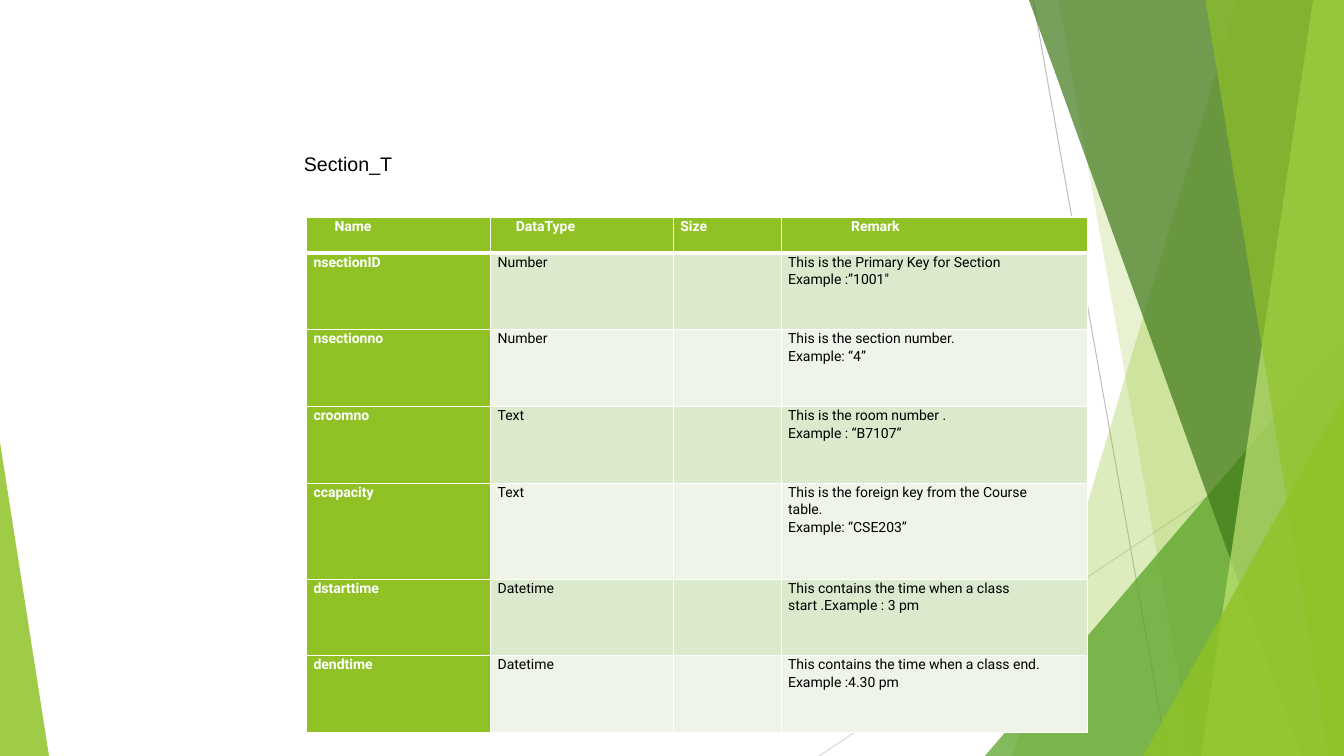
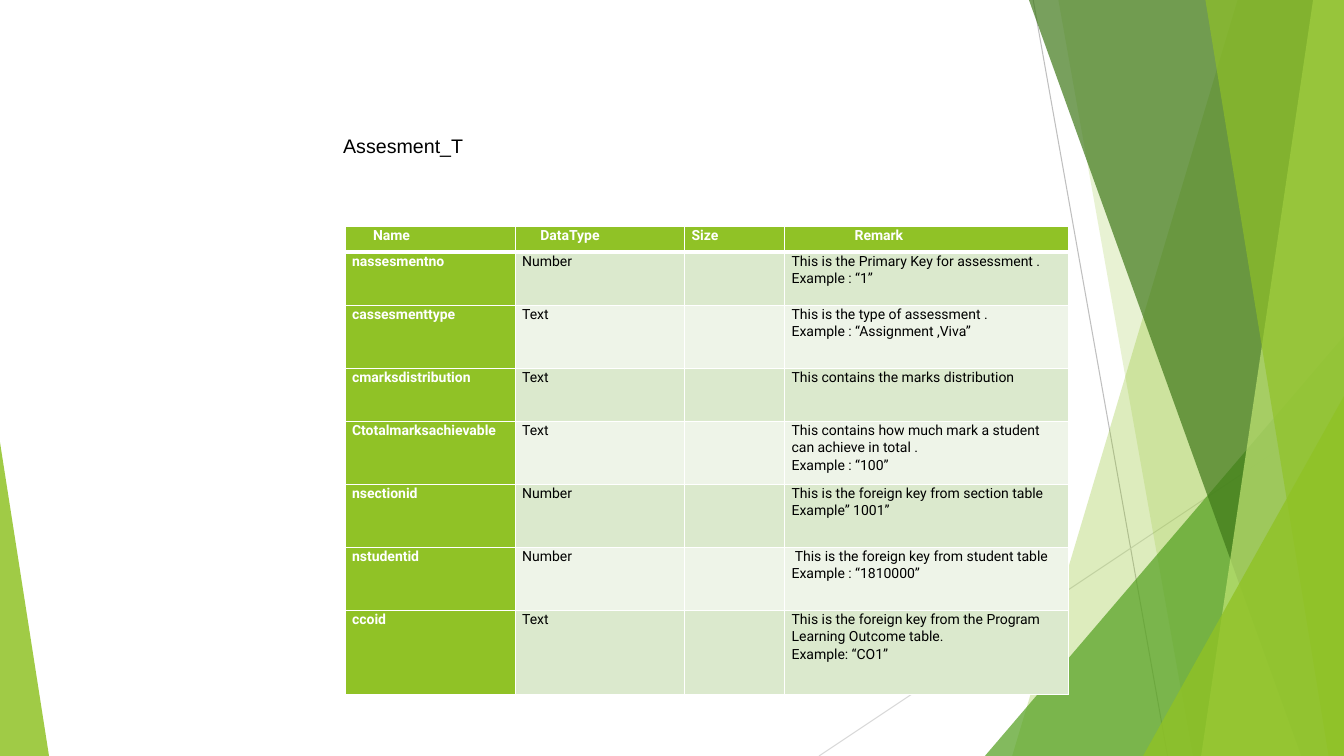
from lxml.etree import SubElement
from pptx import Presentation
from pptx.dml.color import RGBColor
from pptx.enum.shapes import MSO_CONNECTOR, MSO_SHAPE
from pptx.enum.text import MSO_ANCHOR, MSO_AUTO_SIZE
from pptx.oxml.ns import qn
from pptx.util import Pt

WIDTH, HEIGHT = 960, 540
GREEN, LEAF, FOREST, LIME = "90C226", "54A021", "3F7819", "C0E474"
WHITE, BLACK = "FFFFFF", "000000"
ROW_FILLS = ("DBE9CD", "EEF4E8")

# Column heading and its distance from the left edge of the cell
HEADINGS = (("Name", 20), ("DataType", 18), ("Size", 5), ("Remark", 50))


def color(value):
    return RGBColor.from_string(value)


class FacetDeck:
    """Holds the deck, its style and the current page."""

    def __init__(self):
        self.deck = Presentation()
        self.deck.slide_width = Pt(WIDTH)
        self.deck.slide_height = Pt(HEIGHT)
        self.page = None

    def add_page(self):
        self.page = self.deck.slides.add_slide(self.deck.slide_layouts[6])
        self.add_facets()

    def paint(self, shape, fill, opacity):
        """Give a shape a see-through fill, with no outline or shadow."""
        shape.shadow.inherit = False
        shape.line.fill.background()
        shape.fill.solid()
        shape.fill.fore_color.rgb = color(fill)
        value = shape.fill._xPr.find(qn("a:solidFill"))[0]
        SubElement(value, qn("a:alpha"), val=str(opacity * 1000))

    def add_line(self, start, end, stroke):
        line = self.page.shapes.add_connector(
            MSO_CONNECTOR.STRAIGHT, *(Pt(value) for value in start + end))
        line.line.color.rgb = color(stroke)
        line.line.width = Pt(0.75)
        SubElement(line._element.spPr, qn("a:effectLst"))

    def add_band(self, top_left, bottom_left, fill, opacity):
        """Fill from a slanted left edge to the right edge of the page."""
        builder = self.page.shapes.build_freeform(Pt(top_left), 0)
        corners = ((WIDTH, 0), (WIDTH, HEIGHT), (bottom_left, HEIGHT))
        builder.add_line_segments([(Pt(x), Pt(y)) for x, y in corners])
        self.paint(builder.convert_to_shape(), fill, opacity)

    def add_corner(self, left, top, width, apex, fill, opacity):
        """Stand a triangle on the bottom edge of the page."""
        corner = self.page.shapes.add_shape(
            MSO_SHAPE.ISOSCELES_TRIANGLE,
            Pt(left), Pt(top), Pt(width), Pt(HEIGHT - top))
        corner.adjustments[0] = apex
        self.paint(corner, fill, opacity)

    def add_facets(self):
        self.add_line((738, 0), (834, HEIGHT), "BFBFBF")
        self.add_line((WIDTH, 290), (585, HEIGHT), "D9D9D9")
        self.add_band(884, 723, GREEN, 30)
        self.add_band(756, 852, GREEN, 20)
        self.add_corner(703.5, 240, 256.5, 1, LEAF, 72)
        self.add_band(735, 929.5, FOREST, 70)
        self.add_band(938, 858, LIME, 70)
        self.add_band(861, 949, GREEN, 65)
        self.add_corner(816.5, 283, 143.5, 1, GREEN, 80)
        self.add_corner(0, 316, 35, 0, GREEN, 85)

    def add_span(self, para, text, font, size, ink, bold=False):
        span = para.add_run()
        span.text = text
        span.font.name = font
        span.font.size = Pt(size)
        span.font.bold = bold
        span.font.color.rgb = color(ink)

    def add_title(self, text, left, top, width):
        box = self.page.shapes.add_textbox(Pt(left), Pt(top), Pt(width), Pt(24))
        frame = box.text_frame
        frame.word_wrap = False
        frame.auto_size = MSO_AUTO_SIZE.SHAPE_TO_FIT_TEXT
        frame.vertical_anchor = MSO_ANCHOR.MIDDLE
        self.add_span(frame.paragraphs[0], text, "Arial", 14, BLACK)

    def add_borders(self, cell, top, bottom):
        properties = cell._tc.get_or_add_tcPr()
        for side, width in (("L", 1), ("R", 1), ("T", top), ("B", bottom)):
            border = SubElement(properties, qn(f"a:ln{side}"), w=str(Pt(width)))
            fill = SubElement(border, qn("a:solidFill"))
            SubElement(fill, qn("a:srgbClr"), val=WHITE)

    def fill_cell(self, cell, paragraphs, fill, strong, indent=5):
        cell.margin_left, cell.margin_right = Pt(indent), Pt(5)
        cell.margin_top = cell.margin_bottom = 0
        cell.fill.solid()
        cell.fill.fore_color.rgb = color(fill)
        frame = cell.text_frame
        for index, text in enumerate(paragraphs):
            para = frame.add_paragraph() if index else frame.paragraphs[0]
            para.line_spacing = 1.07
            for number, line in enumerate(text.split("\n")):
                if number:
                    para.add_line_break()
                self.add_span(para, line, "Roboto", 10,
                              WHITE if strong else BLACK, strong)

    def add_field_table(self, left, top, widths, heights, fields):
        """Add a table of (name, data type, remark paragraphs) fields."""
        table = self.page.shapes.add_table(
            len(heights), len(widths), Pt(left), Pt(top),
            Pt(sum(widths)), Pt(sum(heights))).table
        table.first_row = table.horz_banding = False
        for column, width in zip(table.columns, widths):
            column.width = Pt(width)
        for row, height in zip(table.rows, heights):
            row.height = Pt(height)
        for index, row in enumerate(table.rows):
            for cell in row.cells:
                self.add_borders(cell, 3 if index == 1 else 1,
                                 3 if index == 0 else 1)
        for cell, (heading, indent) in zip(table.rows[0].cells, HEADINGS):
            self.fill_cell(cell, [heading], GREEN, True, indent)
        for index, (name, data_type, remark) in enumerate(fields):
            contents = ([name], [data_type], [], remark)
            for column, paragraphs in enumerate(contents):
                strong = column == 0
                fill = GREEN if strong else ROW_FILLS[index % 2]
                self.fill_cell(table.cell(index + 1, column), paragraphs,
                               fill, strong)


SECTION_FIELDS = (
    ("nsectionID", "Number",
     ["This is the Primary Key for Section", "Example :”1001\""]),
    ("nsectionno", "Number",
     ["This is the section number.\nExample: “4”"]),
    ("croomno", "Text",
     ["This is the room number .", "Example : “B7107”"]),
    ("ccapacity", "Text",
     ["This is the foreign key from the Course\ntable.\nExample: “CSE203”"]),
    ("dstarttime", "Datetime",
     ["This contains the time when a class start .Example : 3 pm"]),
    ("dendtime", "Datetime",
     ["This contains the time when a class end.", "Example :4.30 pm"]),
)

ASSESSMENT_FIELDS = (
    ("nassesmentno", "Number",
     ["This is the Primary Key for assessment .", "Example : “1”"]),
    ("cassesmenttype", "Text",
     ["This is the type of assessment .", "Example : “Assignment ,Viva”"]),
    ("cmarksdistribution", "Text",
     ["This contains the marks distribution"]),
    ("Ctotalmarksachievable", "Text",
     ["This contains how much mark a student can achieve in total .",
      "Example : “100”"]),
    ("nsectionid", "Number",
     ["This is the foreign key from section table", "Example” 1001”"]),
    ("nstudentid", "Number",
     [" This is the foreign key from student table", "Example : “1810000”"]),
    ("ccoid", "Text",
     ["This is the foreign key from the Program\n"
      "Learning Outcome table.\nExample: “CO1”"]),
)


def main():
    facet = FacetDeck()

    facet.add_page()
    facet.add_field_table(219, 155, (131.5, 130.5, 77, 219),
                          (25.8, 54.8, 54.8, 54.8, 68.5, 54.8, 54.8),
                          SECTION_FIELDS)
    facet.add_title("Section_T", 210, 105, 78)

    facet.add_page()
    facet.add_field_table(246.5, 162, (121.5, 121, 71.5, 203),
                          (18, 38, 45, 38, 45, 45, 45, 60),
                          ASSESSMENT_FIELDS)
    facet.add_title("Assesment_T", 238, 92, 101)

    facet.deck.save("out.pptx")


if __name__ == "__main__":
    main()
